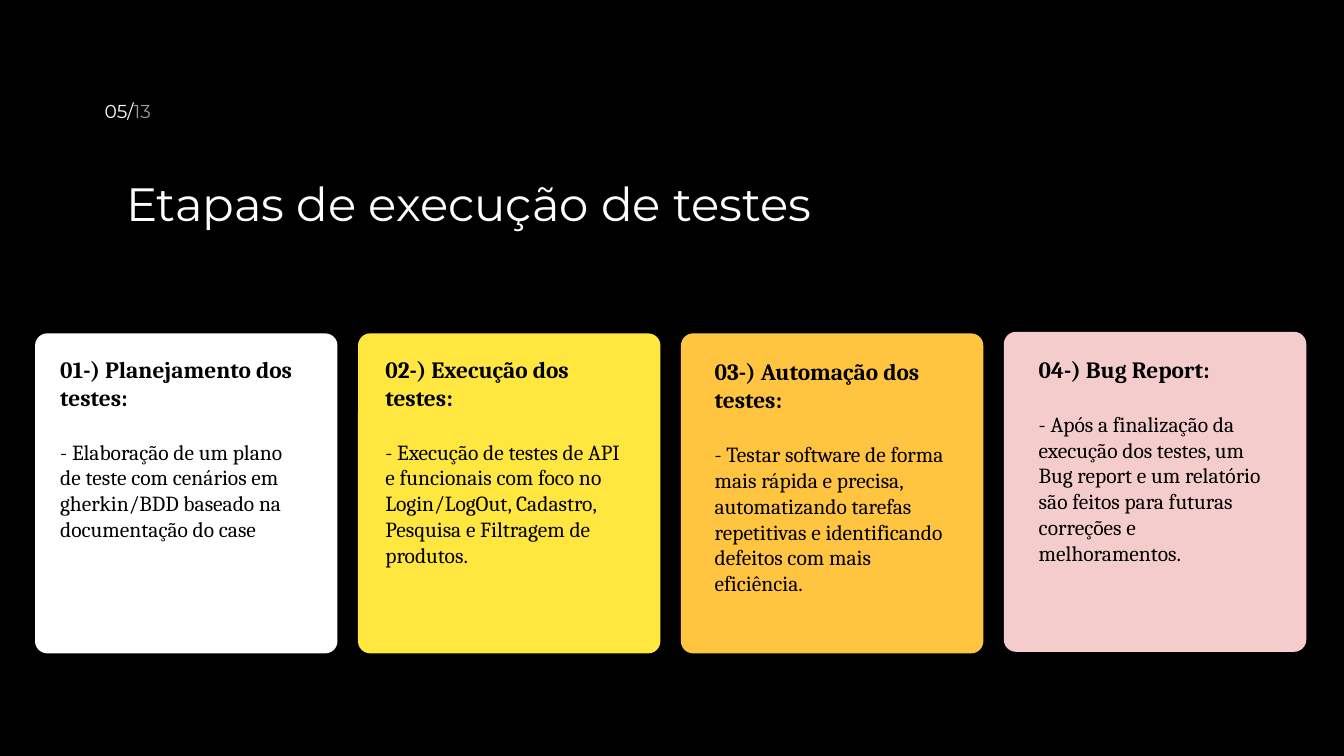
from pptx import Presentation
from pptx.dml.color import RGBColor
from pptx.enum.shapes import MSO_SHAPE
from pptx.util import Pt

BLACK = RGBColor(0x00, 0x00, 0x00)
WHITE = RGBColor(0xFF, 0xFF, 0xFF)
GRAY = RGBColor(0x99, 0x99, 0x99)
YELLOW = RGBColor(0xFF, 0xE7, 0x40)
ORANGE = RGBColor(0xFF, 0xC4, 0x40)
PINK = RGBColor(0xF4, 0xCC, 0xCC)

SLIDE_WIDTH, SLIDE_HEIGHT = 720, 405
CARD_LEFT, CARD_PITCH = 18.8, 173
CARD_WIDTH, CARD_HEIGHT = 162, 171.4


def add_panel(preset, left, top, width, height, color):
    panel = slide.shapes.add_shape(preset, Pt(left), Pt(top), Pt(width), Pt(height))
    panel.shadow.inherit = False
    panel.fill.solid()
    panel.fill.fore_color.rgb = color
    panel.line.fill.background()
    return panel


def add_text(left, top, width, height, paragraphs):
    """Add a text box; each paragraph is a list of (text, font values, color)."""
    frame = slide.shapes.add_textbox(Pt(left), Pt(top), Pt(width), Pt(height)).text_frame
    frame.word_wrap = True
    for side in ("left", "top", "right", "bottom"):
        setattr(frame, f"margin_{side}", Pt(7.2))
    for index, runs in enumerate(paragraphs):
        paragraph = frame.add_paragraph() if index else frame.paragraphs[0]
        for text, font_values, color in runs:
            run = paragraph.add_run()
            run.text = text
            for name, value in font_values.items():
                setattr(run.font, name, value)
            run.font.color.rgb = color
    return frame


TITLE_FONT = {"name": "Montserrat", "size": Pt(25)}
PAGE_FONT = {"name": "Montserrat", "size": Pt(10)}
HEADING_FONT = {"name": "Cambria", "size": Pt(12.5), "bold": True}
BODY_FONT = {"name": "Cambria", "size": Pt(11.5), "bold": False}

# Card color, card top, text left, text top, heading, body
STEPS = [
    (WHITE, 178.6, 25.2, 182.9, "01-) Planejamento dos testes:",
     "- Elaboração de um plano de teste com cenários em gherkin/BDD baseado na "
     "documentação do case"),
    (YELLOW, 178.6, 199.4, 182.9, "02-) Execução dos testes:",
     "- Execução de testes de API e funcionais com foco no Login/LogOut, Cadastro, "
     "Pesquisa e Filtragem de produtos."),
    (ORANGE, 178.6, 375.8, 184.3, "03-) Automação dos testes:",
     "- Testar software de forma mais rápida e precisa, automatizando tarefas "
     "repetitivas e identificando defeitos com mais eficiência."),
    (PINK, 177.8, 549.4, 182.9, "04-) Bug Report:",
     "- Após a finalização da execução dos testes, um Bug report e um relatório "
     "são feitos para futuras correções e melhoramentos."),
]

presentation = Presentation()
presentation.slide_width = Pt(SLIDE_WIDTH)
presentation.slide_height = Pt(SLIDE_HEIGHT)
slide = presentation.slides.add_slide(presentation.slide_layouts[6])

add_panel(MSO_SHAPE.RECTANGLE, 0, 0, SLIDE_WIDTH, SLIDE_HEIGHT, BLACK)
add_text(60.5, 86.4, 485.3, 71.3, [[("Etapas de execução de testes", TITLE_FONT, WHITE)]])
add_text(49, 47.5, 69.8, 19.4, [[("05/", PAGE_FONT, WHITE), ("13", PAGE_FONT, GRAY)]])

for column, (color, card_top, text_left, text_top, heading, body) in enumerate(STEPS):
    card = add_panel(MSO_SHAPE.ROUNDED_RECTANGLE, CARD_LEFT + column * CARD_PITCH,
                     card_top, CARD_WIDTH, CARD_HEIGHT, color)
    card.adjustments[0] = 0.04
    step_text = add_text(text_left, text_top, 144, 161.3,
                         [[(heading, HEADING_FONT, BLACK)], [(body, BODY_FONT, BLACK)]])
    step_text.paragraphs[0].space_after = Pt(15)

presentation.save("out.pptx")
